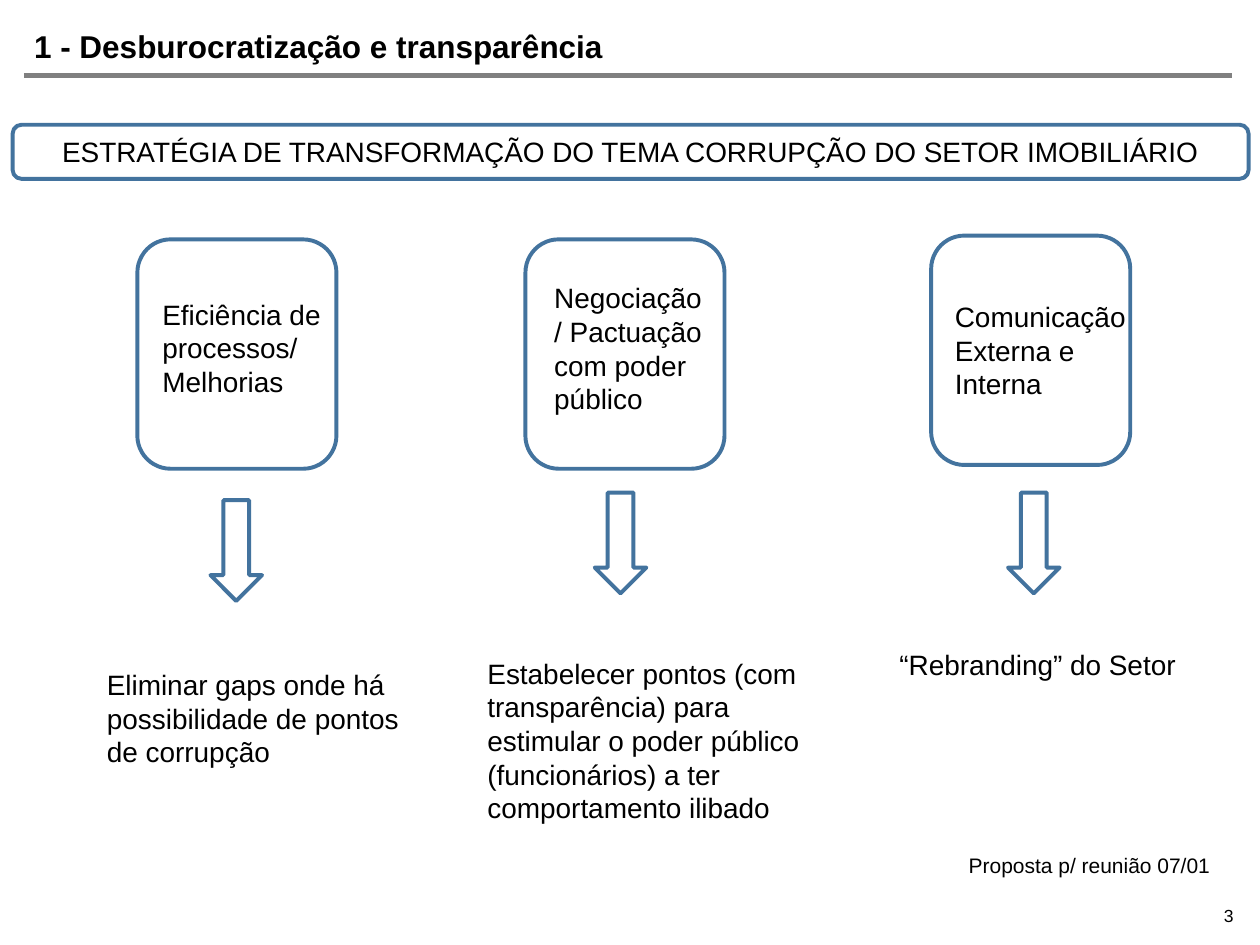
from lxml.etree import SubElement
from pptx import Presentation
from pptx.dml.color import RGBColor
from pptx.enum.shapes import MSO_CONNECTOR, MSO_SHAPE
from pptx.enum.text import MSO_ANCHOR, PP_ALIGN
from pptx.oxml.ns import qn
from pptx.util import Inches, Pt

BLACK, WHITE, BLUE, GRAY = "000000", "FFFFFF", "43739E", "808080"

COLUMNS = [
    {
        "card": (1.09, 1.9),
        "label": ("Eficiência de processos/ Melhorias", (1.19, 2.31, 1.62, 0.91)),
        "arrow": (1.67, 3.97),
        "result": ("Eliminar gaps onde há possibilidade de pontos de corrupção",
                   (0.75, 5.25, 2.56, 0.91)),
    },
    {
        "card": (4.17, 1.9),
        "label": ("Negociação/ Pactuação com poder público", (4.3, 2.18, 1.41, 1.18)),
        "arrow": (4.72, 3.91),
        "result": ("Estabelecer pontos (com transparência) para estimular o poder "
                   "público (funcionários) a ter comportamento ilibado",
                   (3.77, 5.16, 2.79, 1.45)),
    },
    {
        "card": (7.39, 1.87),
        "label": ("Comunicação Externa e Interna", (7.48, 2.33, 1.81, 0.91)),
        "arrow": (8, 3.91),
        "result": ("“Rebranding” do Setor", (7.04, 5.09, 2.79, 0.37)),
    },
]


def color(value):
    """Return the colour for a hex string."""
    return RGBColor.from_string(value)


def inches(box):
    """Turn a tuple of numbers into lengths."""
    return [Inches(value) for value in box]


def write(shape, text, size=16, align=PP_ALIGN.LEFT, bold=False):
    """Write one formatted paragraph into a shape and return it."""
    shape.text_frame.word_wrap = True
    para = shape.text_frame.paragraphs[0]
    para.text = text
    para.alignment = align
    para.font.name = "Arial"
    para.font.size = Pt(size)
    para.font.bold = bold
    para.font.color.rgb = color(BLACK)
    return para


def remove_margins(frame):
    """Set all four margins of a text frame to zero."""
    frame.margin_left = frame.margin_right = 0
    frame.margin_top = frame.margin_bottom = 0


def add_text(page, text, box, size=16, align=PP_ALIGN.LEFT):
    """Add a text box and return it."""
    shape = page.shapes.add_textbox(*inches(box))
    write(shape, text, size, align)
    return shape


def add_outlined(page, kind, box):
    """Add a white shape with a blue outline."""
    shape = page.shapes.add_shape(kind, *inches(box))
    shape.shadow.inherit = False
    shape.fill.solid()
    shape.fill.fore_color.rgb = color(WHITE)
    shape.line.color.rgb = color(BLUE)
    shape.line.width = Pt(2.25)
    return shape


def add_heading(page, box):
    """Place the title in the box and the rule under it."""
    title = page.shapes.title
    title.left, title.top, title.width, title.height = inches(box)
    para = write(title, "1 - Desburocratização e transparência", 18, bold=True)
    para.line_spacing = 0.9
    remove_margins(title.text_frame)
    title.text_frame.vertical_anchor = MSO_ANCHOR.TOP

    left, top, width, height = box
    rule_top = top + height
    rule = page.shapes.add_connector(
        MSO_CONNECTOR.STRAIGHT, *inches((left - 0.08, rule_top, left + width, rule_top)))
    rule.line.color.rgb = color(GRAY)
    rule.line.width = Pt(3.2)
    SubElement(rule._element.spPr, qn("a:effectLst"))


def add_banner(page, box):
    """Place the strategy banner in the box."""
    banner = add_outlined(page, MSO_SHAPE.ROUNDED_RECTANGLE, box)
    banner.text_frame.vertical_anchor = MSO_ANCHOR.MIDDLE
    write(banner, "ESTRATÉGIA DE TRANSFORMAÇÃO DO TEMA CORRUPÇÃO DO SETOR IMOBILIÁRIO",
          align=PP_ALIGN.CENTER)


def add_column(page, column):
    """Place a card with its label, the arrow and the result below."""
    add_outlined(page, MSO_SHAPE.ROUNDED_RECTANGLE, (*column["card"], 1.58, 1.82))
    add_text(page, *column["label"])
    add_outlined(page, MSO_SHAPE.DOWN_ARROW, (*column["arrow"], 0.41, 0.8))
    add_text(page, *column["result"])


def add_footer(page, note_box, number_box):
    """Place the meeting note and the page number."""
    add_text(page, "Proposta p/ reunião 07/01", note_box, 12)
    number = add_text(page, "3", number_box, 10, PP_ALIGN.RIGHT)
    remove_margins(number.text_frame)
    number.text_frame.vertical_anchor = MSO_ANCHOR.BOTTOM


def main():
    """Build the slide and save it."""
    deck = Presentation()
    deck.slide_width, deck.slide_height = Inches(10), Inches(7.5)
    page = deck.slides.add_slide(deck.slide_layouts[5])
    add_heading(page, (0.27, 0.25, 9.51, 0.35))
    add_banner(page, (0.1, 0.99, 9.81, 0.43))
    for column in COLUMNS:
        add_column(page, column)
    add_footer(page, (7.59, 6.72, 2.24, 0.3), (7.45, 7.18, 2.34, 0.17))
    deck.save("out.pptx")


if __name__ == "__main__":
    main()
